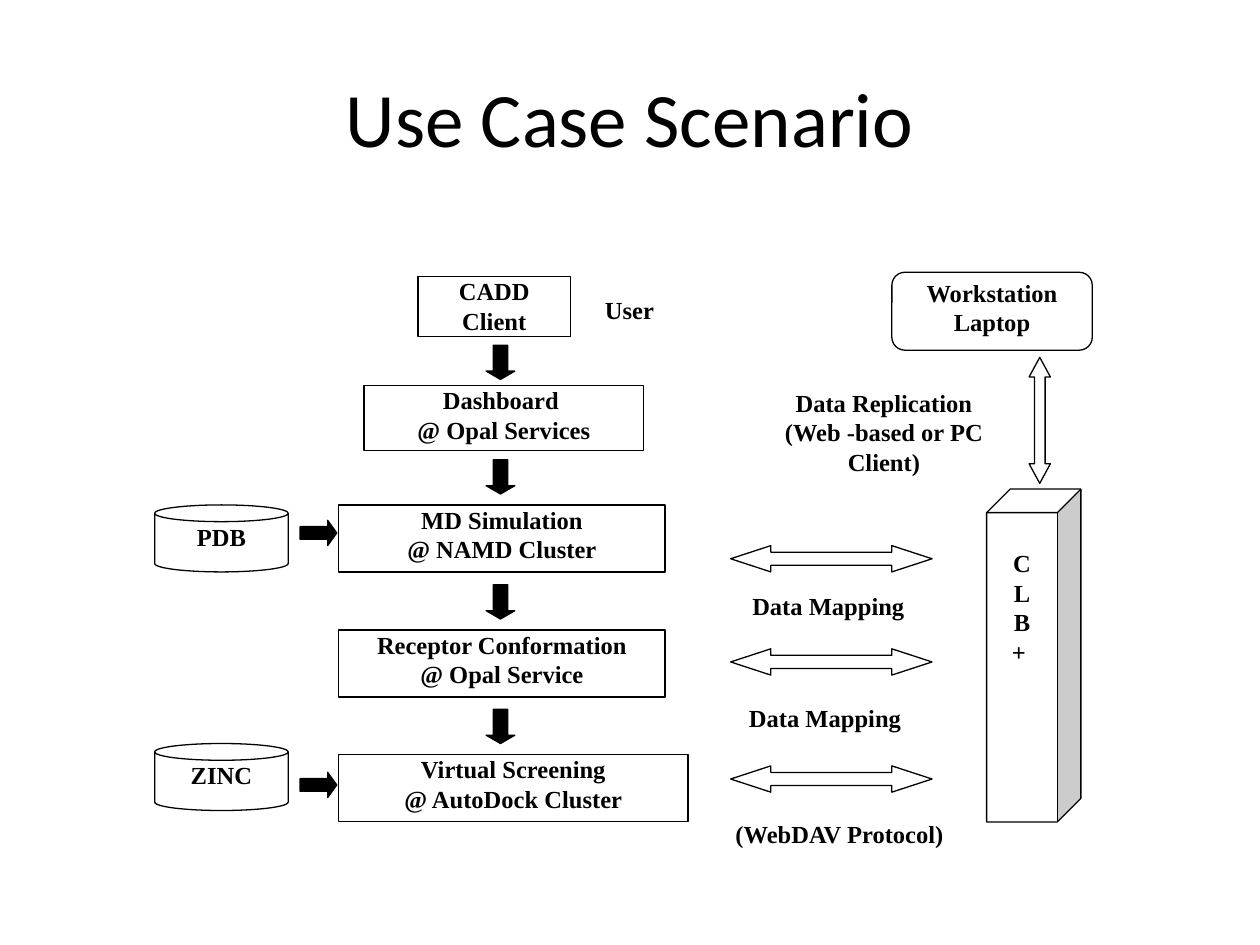
"""Build the Use Case Scenario slide, a workflow linked to shared storage."""
from pptx import Presentation
from pptx.dml.color import RGBColor
from pptx.enum.shapes import MSO_SHAPE as Shape
from pptx.enum.text import MSO_ANCHOR as Anchor, PP_ALIGN as Align
from pptx.util import Cm, Pt

BLACK, WHITE = "000000", "FFFFFF"


def colour(value):
    return RGBColor.from_string(value)


class Diagram:
    def __init__(self, slide):
        self.slide = slide
        self.font = "Times New Roman"
        self.size = 14
        self.line_width = 0.75

    def add_lines(self, frame, lines, insets, font, size, bold):
        frame.word_wrap = True
        frame.margin_left = frame.margin_right = Cm(insets[0])
        frame.margin_top, frame.margin_bottom = Cm(insets[1]), Cm(insets[2])
        for index, line in enumerate(lines):
            paragraph = frame.paragraphs[0] if index == 0 else frame.add_paragraph()
            paragraph.alignment = Align.CENTER
            run = paragraph.add_run()
            run.text = line
            run.font.name = font
            run.font.size = Pt(size)
            run.font.bold = bold
            run.font.color.rgb = colour(BLACK)

    def title(self, text, left, top, width, height):
        box = self.slide.shapes.add_textbox(Cm(left), Cm(top), Cm(width), Cm(height))
        box.text_frame.vertical_anchor = Anchor.MIDDLE
        self.add_lines(box.text_frame, [text], (0.25, 0.13, 0.13), "Calibri", 44, False)

    def shape(self, kind, left, top, width, height, fill=WHITE, outlined=True):
        shape = self.slide.shapes.add_shape(kind, Cm(left), Cm(top), Cm(width), Cm(height))
        shape.shadow.inherit = False
        shape.fill.solid()
        shape.fill.fore_color.rgb = colour(fill)
        if outlined:
            shape.line.color.rgb = colour(BLACK)
            shape.line.width = Pt(self.line_width)
        else:
            shape.line.fill.background()
        return shape

    def box(self, lines, left, top, width, height, kind=Shape.RECTANGLE,
            insets=(0.25, 0, 0), outlined=True):
        shape = self.shape(kind, left, top, width, height, outlined=outlined)
        shape.text_frame.vertical_anchor = Anchor.TOP
        self.add_lines(shape.text_frame, lines, insets, self.font, self.size, True)

    def label(self, lines, left, top, width, height, insets=(0.25, 0, 0)):
        self.box(lines, left, top, width, height, insets=insets, outlined=False)

    def arrow(self, kind, left, top, width, height, head, fill=WHITE, rotation=0):
        shape = self.shape(kind, left, top, width, height, fill)
        shape.adjustments[0] = 0.5
        shape.adjustments[1] = head
        shape.rotation = rotation


def main():
    presentation = Presentation()
    presentation.slide_width, presentation.slide_height = Cm(25.4), Cm(19.05)
    diagram = Diagram(presentation.slides.add_slide(presentation.slide_layouts[6]))

    diagram.title("Use Case Scenario", 1.27, 0.76, 22.86, 3.18)
    diagram.label(["User"], 11.51, 5.82, 2.36, 0.99, insets=(0.25, 0.13, 0.13))

    steps = [
        (["CADD Client"], 8.43, 5.57, 3.07, 1.22),
        (["Dashboard ", "@ Opal Services"], 7.34, 7.77, 5.64, 1.32),
        (["MD Simulation", "@ NAMD Cluster"], 6.83, 10.18, 6.58, 1.35),
        (["Receptor Conformation", "@ Opal Service"], 6.83, 12.7, 6.58, 1.35),
        (["Virtual Screening", "@ AutoDock Cluster"], 6.83, 15.21, 7.04, 1.35),
    ]
    for step in steps:
        diagram.box(*step)
    for top in (6.96, 9.27, 11.79, 14.3):
        diagram.arrow(Shape.DOWN_ARROW, 9.8, top, 0.58, 0.69, 0.29, BLACK)

    for name, top, arrow_top in (("PDB", 10.18, 10.49), ("ZINC", 14.99, 15.57)):
        diagram.box([name], 3.12, top, 2.69, 1.35, Shape.CAN)
        diagram.arrow(Shape.RIGHT_ARROW, 6.05, arrow_top, 0.74, 0.51, 0.36, BLACK)

    diagram.box(["Workstation", "Laptop"], 17.98, 5.49, 4.04, 1.57,
                Shape.ROUNDED_RECTANGLE, (0.15, 0.03, 0.03))
    diagram.box(["C", "L", "B", "+ "], 19.89, 9.86, 1.9, 6.71,
                Shape.CUBE, (0.25, 0.72, 0.13))

    diagram.label(["Data Replication", "(Web -based or PC Client)"], 14.81, 7.82, 6.02, 1.27)
    diagram.arrow(Shape.LEFT_RIGHT_ARROW, 19.69, 8.26, 2.54, 0.43, 0.92, rotation=90)

    diagram.label(["Data Mapping"], 13.97, 11.91, 5.46, 0.79)
    diagram.label(["Data Mapping "], 14.17, 14.17, 5.05, 1.04)
    diagram.label(["(WebDAV Protocol)"], 14.4, 16.51, 5.05, 1.04)
    for top in (11, 13.08, 15.44):
        diagram.arrow(Shape.LEFT_RIGHT_ARROW, 14.73, top, 4.06, 0.53, 1.53)

    presentation.save("out.pptx")


if __name__ == "__main__":
    main()
